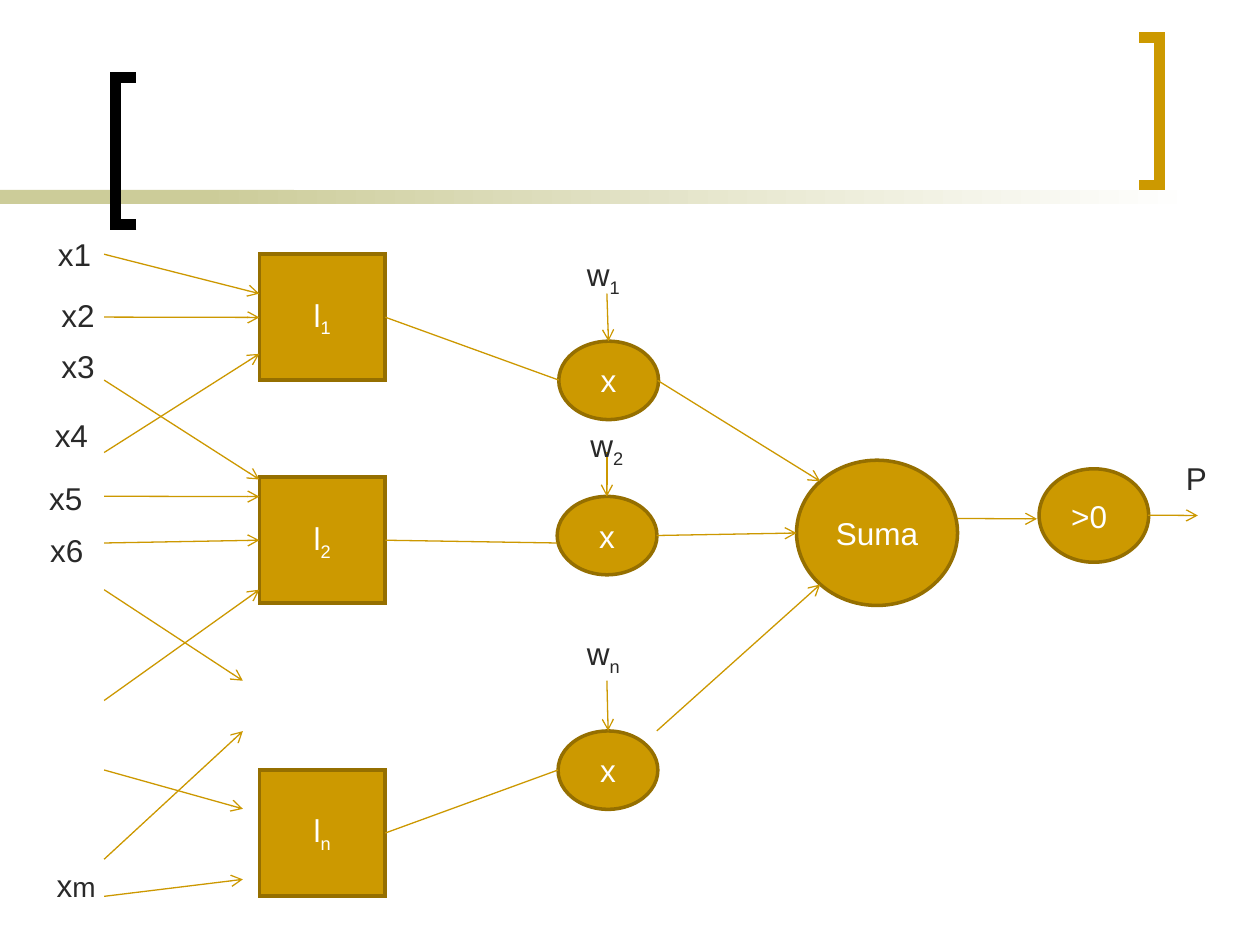
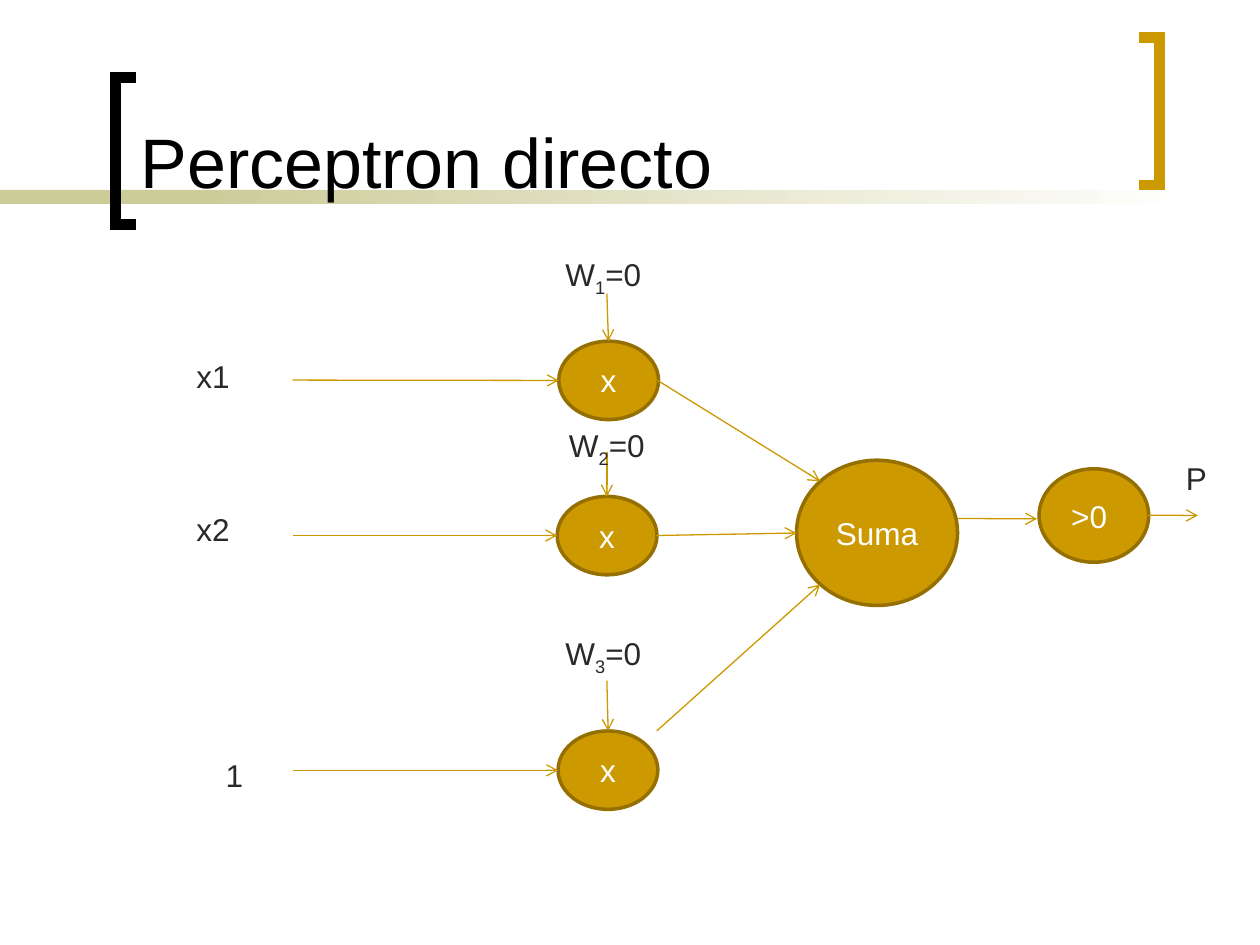
from lxml import etree
from pptx import Presentation
from pptx.dml.color import RGBColor
from pptx.enum.shapes import MSO_CONNECTOR, MSO_SHAPE
from pptx.enum.text import MSO_ANCHOR, MSO_AUTO_SIZE, PP_ALIGN
from pptx.oxml.ns import qn
from pptx.util import Pt

RECT, OVAL = MSO_SHAPE.RECTANGLE, MSO_SHAPE.OVAL
STRAIGHT = MSO_CONNECTOR.STRAIGHT
LEFT, CENTER = PP_ALIGN.LEFT, PP_ALIGN.CENTER
MIDDLE, BOTTOM = MSO_ANCHOR.MIDDLE, MSO_ANCHOR.BOTTOM
FIT_SHAPE = MSO_AUTO_SIZE.SHAPE_TO_FIT_TEXT

FONT = "Arial"
BLACK = RGBColor(0x00, 0x00, 0x00)
WHITE = RGBColor(0xFF, 0xFF, 0xFF)
DARK = RGBColor(0x29, 0x29, 0x29)
GOLD = RGBColor(0xCC, 0x99, 0x00)
BROWN = RGBColor(0x95, 0x6F, 0x00)
ARROW = RGBColor(0xCC, 0x98, 0x00)
SAND = RGBColor(0xCC, 0xCC, 0x99)


def write(tf, text, size=18, color=DARK, align=LEFT, sub_size=18, baseline=-25000):
    p = tf.paragraphs[0]
    p.alignment = align
    base, _, rest = text.partition("_")
    for i, part in enumerate((base, rest[:1], rest[1:])):
        if part:
            r = p.add_run()
            r.text = part
            r.font.name = FONT
            r.font.size = Pt(sub_size if i == 1 else size)
            r.font.color.rgb = color
            if i == 1 and baseline:
                r._r.get_or_add_rPr().set("baseline", str(baseline))


def connect(s, x1, y1, x2, y2, arrow=True):
    c = s.shapes.add_connector(STRAIGHT, Pt(x1), Pt(y1), Pt(x2), Pt(y2))
    c.line.color.rgb = ARROW
    c.line.width = Pt(0.75)
    if arrow:
        etree.SubElement(c.line._get_or_add_ln(), qn("a:tailEnd"), type="arrow")
    etree.SubElement(c._element.spPr, qn("a:effectLst"))


brackets = [
    (BLACK, [(78, 128.2), (66, 128.2), (66, 44.2), (78, 44.2)]),
    (GOLD, [(651, 21.3), (662.5, 21.3), (662.5, 105.7), (651, 105.7)]),
]
neurons = [
    (OVAL, 319.3, 195, 57, 44.8, "x"),
    (OVAL, 318.4, 283.7, 57, 44.8, "x"),
    (OVAL, 318.9, 417.7, 57, 44.8, "x"),
    (OVAL, 455.2, 263, 92, 83, "Suma"),
    (OVAL, 593.8, 267.9, 62.6, 53.4, ">0"),
]
neuron_arrows = [
    (346.8, 167.8, 347.7, 195),
    (346.8, 258.5, 346.8, 283.7),
    (346.8, 389, 347.5, 417.6),
    (375.8, 217.4, 468.7, 275),
    (375.3, 306, 455.2, 304.6),
    (375.3, 417.7, 468.7, 334),
    (547.2, 296.3, 592.6, 296.5),
    (656, 294.4, 684.5, 294.6),
]
weight_places = [(344.8, 142.2), (346.8, 239.8), (344.8, 358.8)]

layers = [(RECT, 148.2, y, 72, 72, text)
          for y, text in ((145.2, "l_1"), (272.7, "l_2"), (440, "l_n"))]
layer_arrows = [(59.5, y1, x2, y2) for y1, x2, y2 in (
    (145.3, 148.2, 167.8), (181.2, 148.2, 181.4), (217.2, 148.2, 274),
    (258.6, 148.2, 202.2), (283.6, 148.2, 283.8), (310.3, 148.2, 308.7),
    (337, 138.8, 389), (400.3, 148.2, 337), (440, 138.8, 462.2),
    (491, 138.8, 417.8), (512.2, 138.8, 502.5))]
layer_links = [(220.2, 181.3, 319.3, 217.2), (220.2, 308.7, 318.4, 310.3),
               (220.2, 476, 318.9, 440)]
layer_inputs = [
    (26, 131, 34, "x1"), (28, 165.8, 34, "x2"), (28, 195, 34, "x3"),
    (24.2, 234, 34, "x4"), (21, 270, 34, "x5"), (21.6, 300, 34, "x6"),
    (25.2, 491.2, 37, "x_m"),
]
direct_arrows = [(167.2, 217.2, 319.3, 217.4), (167.2, 306, 318.4, 306),
                 (167.2, 440.2, 318.9, 440.2)]
direct_inputs = [(105.1, 200.3, 34, "x1"), (105.1, 288, 34, "x2"), (121.8, 428.7, 25, "1")]

slides = [
    (None, layers, layer_arrows, layer_links, layer_inputs, ("w_1", "w_2", "w_n"), 34),
    ("Perceptron directo", [], direct_arrows, [], direct_inputs,
     ("W_1=0", "W_2=0", "W_3=0"), 58),
]

prs = Presentation()
prs.slide_width, prs.slide_height = Pt(720), Pt(540)

for title, boxes, arrows, links, inputs, weights, weight_width in slides:
    s = prs.slides.add_slide(prs.slide_layouts[5 if title else 6])

    for x, w in ((0, 168), (114, 570)):
        band = s.shapes.add_shape(RECT, Pt(x), Pt(108.5), Pt(w), Pt(8))
        band.shadow.inherit = False
        band.line.fill.background()
        if x == 0:
            band.fill.solid()
            band.fill.fore_color.rgb = SAND
        else:
            band.fill.gradient()
            band.fill.gradient_angle = 0
            for stop, color, position in zip(band.fill.gradient_stops, (SAND, WHITE), (0, 1)):
                stop.color.rgb = color
                stop.position = position

    for color, points in brackets:
        corners = [(Pt(x), Pt(y)) for x, y in points]
        fb = s.shapes.build_freeform(*corners[0])
        fb.add_line_segments(corners[1:], close=False)
        bracket = fb.convert_to_shape()
        bracket.shadow.inherit = False
        bracket.fill.background()
        bracket.line.color.rgb = color
        bracket.line.width = Pt(6)
        etree.SubElement(bracket.line._get_or_add_ln(), qn("a:miter"), lim="800000")

    if title:
        sp = s.shapes.title
        sp.left, sp.top, sp.width, sp.height = Pt(73.2), Pt(8), Pt(564), Pt(111.2)
        sp.text_frame.vertical_anchor = BOTTOM
        write(sp.text_frame, title, size=40, color=BLACK)
        s.shapes._spTree.append(sp._element)

    for kind, x, y, w, h, text in boxes + neurons:
        sp = s.shapes.add_shape(kind, Pt(x), Pt(y), Pt(w), Pt(h))
        sp.shadow.inherit = False
        sp.fill.solid()
        sp.fill.fore_color.rgb = GOLD
        sp.line.color.rgb = BROWN
        sp.line.width = Pt(2)
        etree.SubElement(sp.line._get_or_add_ln(), qn("a:miter"), lim="800000")
        tf = sp.text_frame
        tf.vertical_anchor = MIDDLE
        if text == ">0":
            tf.margin_right = Pt(12.5)
        write(tf, text, color=WHITE, align=CENTER)

    for ends in arrows + neuron_arrows:
        connect(s, *ends)
    for ends in links:
        connect(s, *ends, arrow=False)

    labels = [(x, y, w, 29, text, LEFT) for x, y, w, text in inputs]
    labels += [(x - weight_width / 2, y, weight_width, 31.7, text, CENTER)
               for (x, y), text in zip(weight_places, weights)]
    labels.append((670.5, 258.5, 27, 29, "P", LEFT))
    for x, y, w, h, text, align in labels:
        tf = s.shapes.add_textbox(Pt(x), Pt(y), Pt(w), Pt(h)).text_frame
        tf.word_wrap = False
        tf.auto_size = FIT_SHAPE
        if text == "x_m":
            write(tf, text, align=align, sub_size=16, baseline=0)
        else:
            write(tf, text, align=align)

prs.save("out.pptx")
